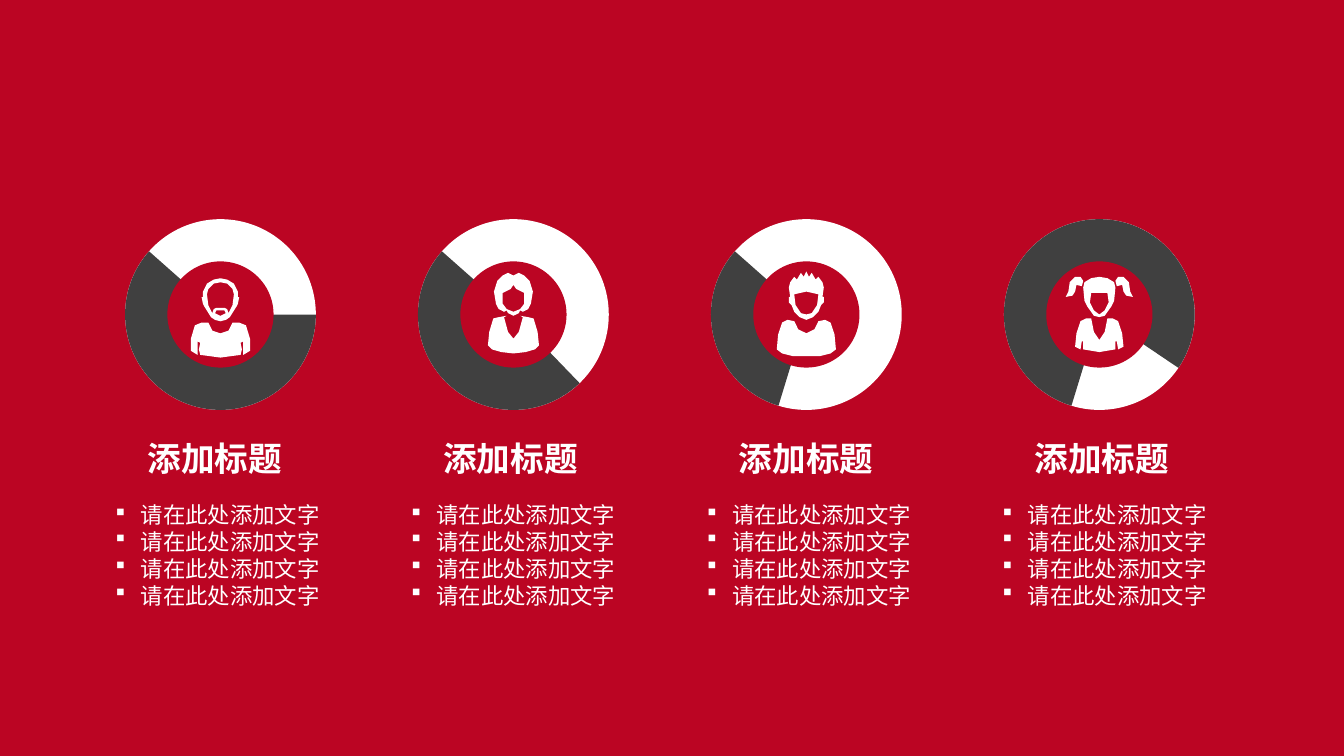
from lxml import etree
from pptx import Presentation
from pptx.dml.color import RGBColor
from pptx.enum import shapes, text
from pptx.oxml.ns import qn
from pptx.util import Pt

RED = RGBColor(0xBB, 0x05, 0x23)
WHITE = RGBColor(0xFF, 0xFF, 0xFF)
GREY = RGBColor(0x40, 0x40, 0x40)
FONT = "Noto Sans CJK SC"

RING_SIZE, HOLE_SIZE = 102.2, 56.9
RING_LEFT, RING_TOP, RING_STEP = 67, 117.4, 156.95
TEXT_LEFT, TEXT_TOP, TEXT_STEP = 54.7, 231.1, 158.4
SECTORS = [(0, 221.5), (46, 221.5), (107, 221.5), (107, 34)]  # clockwise degrees
ICON_UNIT = 0.72  # points per icon grid step

# Right halves of icon outlines, as x,y around the ring centre.
MAN = [
    "0,-27 5,-26 10,-23 13,-17 13,-13 14,-13 13,-8 12,-6 7,2 4,4 0,5",
    "0,-24 5,-23 9,-19 10,-15 9,-7 6,-1 5,-4 3,-5 0,-5",
    "0,-3 3,-3 4,-1 0,1",
    "0,14 6,12 9,6 14,6 19,8 22,18 22,27 17,30 17,20 15,21 16,26 15,30 0,32",
]
WOMAN = [
    "0,-29 4,-31 8,-29 12,-25 14.5,-17 13,-8 11,-4 7,-2 5,-3 4,-1 0,1",
    "0,-22 2,-19 8,-16 8,-8 5,-4 0,-2",
    "0,18 4,13 7,2 5,1 11,2 15,3 18,13 19,23 16,26 9,28 0,29",
]
BOY = [
    "0,-32 2,-28 4,-31 7,-26 9,-28 12,-24 13,-20 12,-13 13,-13 13,-9 11,-7 9,-2 5,2 0,4",
    "0,-17 9,-15 8,-7 4,-1 0,0",
    "0,14 6,11 9,5 14,4 18,6 21,15 22,26 18,29 10,31 0,31",
]
GIRL = [
    "0,-28 6,-27 11,-24 12,-20 11,-10 9,-6 4,1 0,2",
    "0,-16 6,-16 7,-9 4,-3 0,0",
    "12,-25 13,-21 17,-22 18,-17 20,-14 25,-13 23,-17 22,-24 18,-28 14,-28",
    "0,19 4,13 6,3 10,3 14,5 17,14 18,24 14,26 13,20 12,20 12,26 0,28",
]
ICONS = [MAN, WOMAN, BOY, GIRL]


def paint(shape, color):
    shape.shadow.inherit = False
    shape.fill.solid()
    shape.fill.fore_color.rgb = color
    shape.line.fill.background()


def add_disc(slide, kind, left, top, size, color):
    shape = slide.shapes.add_shape(kind, Pt(left), Pt(top), Pt(size), Pt(size))
    paint(shape, color)
    return shape


def add_ring(slide, left, top, size, sector):
    circle = shapes.MSO_SHAPE.OVAL
    add_disc(slide, circle, left, top, size, WHITE)
    pie = add_disc(slide, shapes.MSO_SHAPE.PIE, left, top, size, GREY)
    for index, angle in enumerate(sector):
        pie.adjustments[index] = angle * 0.6  # 60000 units a degree, over 100000
    inset = (size - HOLE_SIZE) / 2
    add_disc(slide, circle, left + inset, top + inset, HOLE_SIZE, RED)


def mirrored_contours(outline):
    """Join a half that starts on the axis to its mirror; pair any other."""
    half = [tuple(map(float, item.split(","))) for item in outline.split()]
    mirror = [(-x, y) for x, y in half]
    if half[0][0] == 0:
        return [half + mirror[-2:0:-1]]
    return [half, mirror]


def add_icon(slide, center_x, center_y, outlines):
    builder = None
    for outline in outlines:
        for contour in mirrored_contours(outline):
            points = [(Pt(center_x + x * ICON_UNIT), Pt(center_y + y * ICON_UNIT))
                      for x, y in contour]
            if builder is None:
                builder = slide.shapes.build_freeform(*points[0])
            else:
                builder.move_to(*points[0])
            builder.add_line_segments(points[1:], close=True)
    paint(builder.convert_to_shape(), WHITE)


def add_bullet(paragraph):
    properties = paragraph._p.get_or_add_pPr()
    properties.set("marL", str(Pt(13.5)))
    properties.set("indent", str(-Pt(13.5)))
    color = etree.SubElement(properties, qn("a:buClr"))
    etree.SubElement(color, qn("a:srgbClr"), val=str(WHITE))
    etree.SubElement(properties, qn("a:buFont"), typeface="Wingdings")
    etree.SubElement(properties, qn("a:buChar"), char="§")


def add_text(slide, lines, left, top, width, height, size, bold=False,
             bullets=False, align=text.PP_ALIGN.LEFT):
    box = slide.shapes.add_textbox(Pt(left), Pt(top), Pt(width), Pt(height))
    frame = box.text_frame
    frame.word_wrap = False
    frame.auto_size = text.MSO_AUTO_SIZE.SHAPE_TO_FIT_TEXT
    for index, line in enumerate(lines):
        paragraph = frame.add_paragraph() if index else frame.paragraphs[0]
        paragraph.alignment = align
        paragraph.line_spacing = Pt(size * 1.2)
        if bullets:
            add_bullet(paragraph)
        run = paragraph.add_run()
        run.text = line
        run.font.size = Pt(size)
        run.font.bold = bold
        run.font.name = FONT
        run.font.color.rgb = WHITE
        etree.SubElement(run._r.get_or_add_rPr(), qn("a:ea"), typeface=FONT)


def add_caption(slide, left, top):
    add_text(slide, ["添加标题"], left + 17.3, top, 86.4, 28.8, 18, bold=True)
    add_text(slide, ["请在此处添加文字"] * 4, left, top + 33.9, 123.8, 93.6, 12,
             bullets=True, align=text.PP_ALIGN.CENTER)


def main():
    presentation = Presentation()
    presentation.slide_width, presentation.slide_height = Pt(720), Pt(405)
    slide = presentation.slides.add_slide(presentation.slide_layouts[6])
    slide.background.fill.solid()
    slide.background.fill.fore_color.rgb = RED

    for column, (sector, icon) in enumerate(zip(SECTORS, ICONS)):
        left = RING_LEFT + column * RING_STEP
        add_ring(slide, left, RING_TOP, RING_SIZE, sector)
        add_icon(slide, left + RING_SIZE / 2, RING_TOP + RING_SIZE / 2, icon)
    for column in range(len(SECTORS)):
        add_caption(slide, TEXT_LEFT + column * TEXT_STEP, TEXT_TOP)

    presentation.save("out.pptx")


if __name__ == "__main__":
    main()
